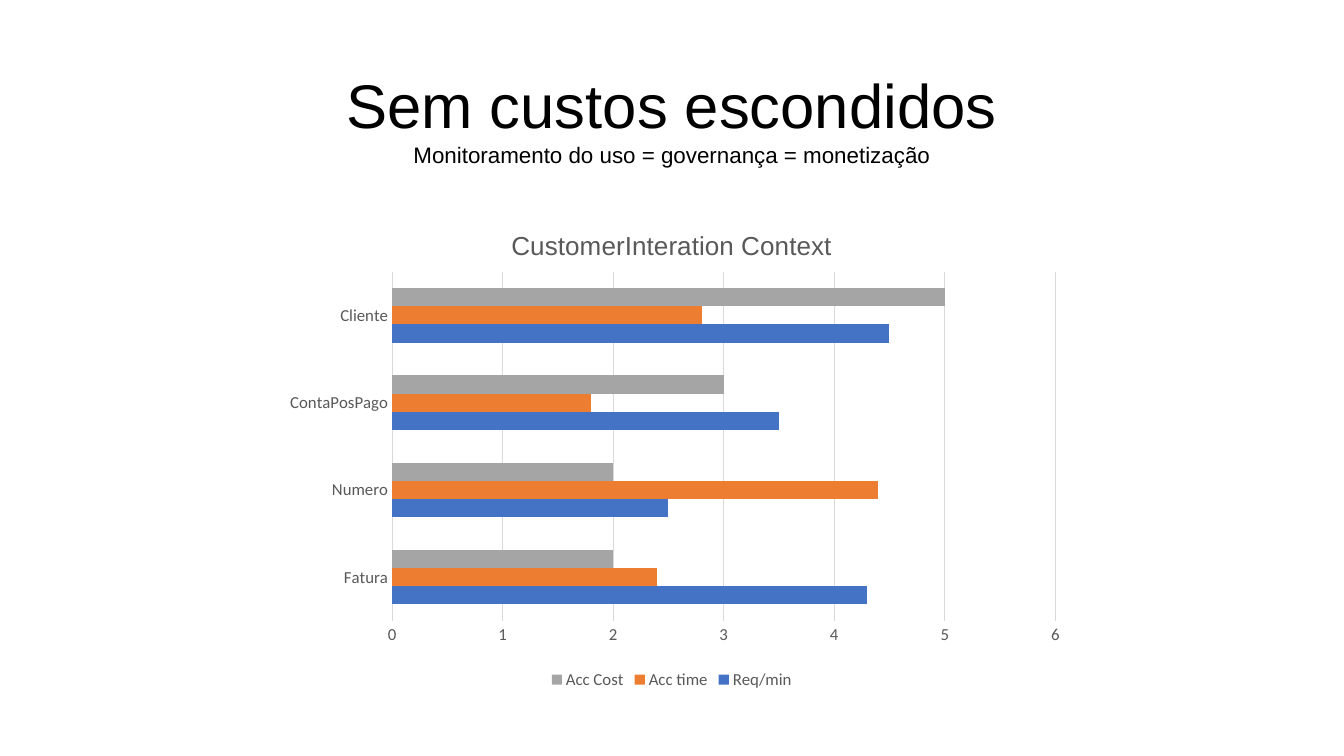
import dataclasses
import typing

import pptx
import pptx.chart.data
import pptx.dml.color
import pptx.enum.chart
import pptx.enum.text
import pptx.oxml
import pptx.oxml.ns
import pptx.util

Cm = pptx.util.Cm
Pt = pptx.util.Pt


# Colours, fonts and type sizes
@dataclasses.dataclass(frozen=True)
class Theme:
    ink: str = "000000"
    soft: str = "595959"
    grid: str = "D9D9D9"
    head: str = "Arial"
    body: str = "Calibri"
    big: float = 44
    sub: float = 16
    chart: float = 18.6
    label: float = 12
    rule: float = 0.75


@dataclasses.dataclass(frozen=True)
class Line:
    text: str
    size: float


@dataclasses.dataclass(frozen=True)
class Series:
    name: str
    color: str
    vals: tuple[float, ...]


THEME = Theme()
LINES = (
    Line("Sem custos escondidos", THEME.big),
    Line("Monitoramento do uso = governança = monetização", THEME.sub),
)
GROUPS = ("Fatura", "Numero", "ContaPosPago", "Cliente")
SERIES = (
    Series("Req/min", "4472C4", (4.3, 2.5, 3.5, 4.5)),
    Series("Acc time", "ED7D31", (2.4, 4.4, 1.8, 2.8)),
    Series("Acc Cost", "A5A5A5", (2, 2, 3, 5)),
)
PLOT = {"x": 0.15, "y": 0.13, "w": 0.83, "h": 0.72}


def apply(item: typing.Any, values: dict[str, typing.Any]) -> None:
    for key, value in values.items():
        setattr(item, key, value)


def rgb(code: str) -> pptx.dml.color.RGBColor:
    return pptx.dml.color.RGBColor.from_string(code)


def style(font: typing.Any, name: str, size: float, color: str) -> None:
    apply(font, {"name": name, "size": Pt(size), "bold": False})
    font.color.rgb = rgb(color)


def rule(line: typing.Any) -> None:
    line.width = Pt(THEME.rule)
    line.color.rgb = rgb(THEME.grid)


# Heading with its subtitle line
def add_title(slide: typing.Any) -> None:
    title = slide.shapes.title
    apply(title, {"left": Cm(8.13), "top": Cm(1.57),
                  "width": Cm(17.6), "height": Cm(2.82)})
    frame = title.text_frame
    frame.text = "\n".join(line.text for line in LINES)
    apply(frame, {"word_wrap": False,
                  "auto_size": pptx.enum.text.MSO_AUTO_SIZE.SHAPE_TO_FIT_TEXT,
                  "vertical_anchor": pptx.enum.text.MSO_ANCHOR.TOP})
    for para, line in zip(frame.paragraphs, LINES):
        para.alignment = pptx.enum.text.PP_ALIGN.CENTER
        style(para.runs[0].font, THEME.head, line.size, THEME.ink)


# Fixed inner plot area, as shares of the chart
def place_plot(chart: typing.Any) -> None:
    parts = "".join(f'<c:{key}Mode val="edge"/>' for key in "xy")
    parts += "".join(f'<c:{key} val="{val}"/>' for key, val in PLOT.items())
    layout = pptx.oxml.parse_xml(
        f'<c:layout {pptx.oxml.ns.nsdecls("c")}><c:manualLayout>'
        f'<c:layoutTarget val="inner"/>{parts}</c:manualLayout></c:layout>')
    area = chart._chartSpace.chart.plotArea
    for old in area.findall(pptx.oxml.ns.qn("c:layout")):
        area.remove(old)
    area.insert(0, layout)


def add_chart(slide: typing.Any) -> None:
    kinds = pptx.enum.chart
    data = pptx.chart.data.CategoryChartData(number_format="General")
    data.categories = GROUPS
    for item in SERIES:
        data.add_series(item.name, item.vals)
    chart = slide.shapes.add_chart(
        kinds.XL_CHART_TYPE.BAR_CLUSTERED, Cm(6.86), Cm(5.26),
        Cm(20.14), Cm(12.22), data).chart
    style(chart.font, THEME.body, THEME.label, THEME.soft)

    # Chart title and legend
    frame = chart.chart_title.text_frame
    frame.text = "CustomerInteration Context"
    style(frame.paragraphs[0].runs[0].font, THEME.head, THEME.chart, THEME.soft)
    chart.has_legend = True
    apply(chart.legend, {"position": kinds.XL_LEGEND_POSITION.BOTTOM,
                         "include_in_layout": False})
    style(chart.legend.font, THEME.body, THEME.label, THEME.soft)

    # Axes
    for axis in (chart.category_axis, chart.value_axis):
        apply(axis, {"major_tick_mark": kinds.XL_TICK_MARK.NONE,
                     "minor_tick_mark": kinds.XL_TICK_MARK.NONE})
        style(axis.tick_labels.font, THEME.body, THEME.label, THEME.soft)
    rule(chart.category_axis.format.line)
    scale = chart.value_axis
    apply(scale, {"minimum_scale": 0, "maximum_scale": 6, "major_unit": 1,
                  "has_major_gridlines": True})
    rule(scale.major_gridlines.format.line)
    scale.format.line.fill.background()

    # Bars
    plot = chart.plots[0]
    apply(plot, {"gap_width": 182, "overlap": 0, "vary_by_categories": False})
    for bars, item in zip(plot.series, SERIES):
        bars.format.fill.solid()
        bars.format.fill.fore_color.rgb = rgb(item.color)
    place_plot(chart)


def main() -> None:
    deck = pptx.Presentation()
    apply(deck, {"slide_width": Cm(33.87), "slide_height": Cm(19.05)})
    slide = deck.slides.add_slide(deck.slide_layouts[5])
    add_title(slide)
    add_chart(slide)
    deck.save("out.pptx")


if __name__ == "__main__":
    main()
